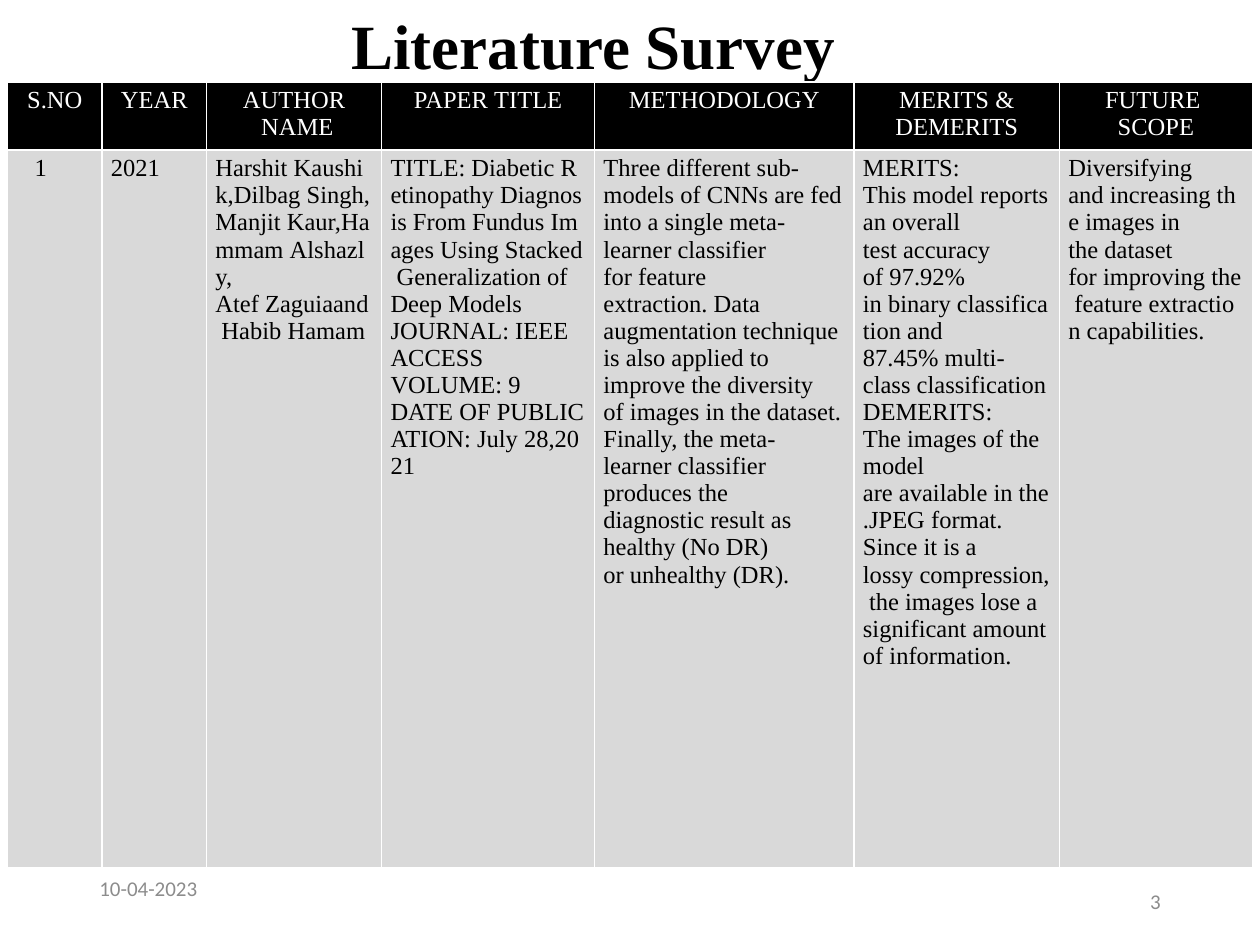
from lxml.etree import SubElement as add_child
from pptx import Presentation
from pptx.dml.color import RGBColor
from pptx.enum.text import MSO_ANCHOR as Anchor, MSO_AUTO_SIZE as AutoSize, PP_ALIGN as Align
from pptx.oxml.ns import qn
from pptx.util import Inches, Pt

BLACK = RGBColor(0x00, 0x00, 0x00)
WHITE = RGBColor(0xFF, 0xFF, 0xFF)
LIGHT_GRAY = RGBColor(0xD9, 0xD9, 0xD9)
FOOTER_GRAY = RGBColor(0x8C, 0x8C, 0x8C)
SERIF = "Times New Roman"
TIE = "~"
HARD_SPACE = chr(160)

TITLE_FONT = {"name": SERIF, "size": Pt(36), "bold": True, "color": BLACK}
HEADER_FONT = {"name": SERIF, "size": Pt(14), "bold": False, "color": WHITE}
BODY_FONT = {**HEADER_FONT, "color": BLACK}
FOOTER_FONT = {"name": "Calibri", "size": Pt(12), "color": FOOTER_GRAY}
CELL_MARGINS = {"margin_left": Inches(0.07), "margin_right": Inches(0.07),
                "margin_top": Inches(0.04), "margin_bottom": Inches(0.03)}

COLUMN_WIDTHS = [0.75, 0.83, 1.39, 1.69, 2.06, 1.63, 1.53]
ROW_HEIGHTS = [0.54, 5.7]
HEADERS = [
    ["S.NO"], ["YEAR"], ["AUTHOR", "~NAME"], ["PAPER~TITLE"], ["METHODOLOGY"],
    ["MERITS &", "DEMERITS"], ["FUTURE~", "SCOPE"],
]
SURVEY = [
    ["~~ 1"],
    ["2021"],
    ["Harshit~Kaushik,Dilbag~Singh,Manjit~Kaur,Hammam~Alshazly,",
     "Atef~Zaguiaand~Habib~Hamam"],
    ["TITLE:~Diabetic~Retinopathy~Diagnosis~From~Fundus~Images~Using~Stacked~"
     "Generalization~of~Deep~Models",
     "JOURNAL:~IEEE~ACCESS",
     "VOLUME:~9",
     "DATE~OF~PUBLICATION:~July~28,2021"],
    ["Three different sub-models of CNNs are~fed into a single~meta-learner~classifier "
     "for~feature extraction.~Data augmentation~technique is also~applied to improve~"
     "the diversity of~images in the~dataset. Finally, the~meta-learner~classifier "
     "produces~the diagnostic~result as healthy~(No DR) or~unhealthy (DR).~"],
    ["MERITS:",
     "This model~reports an~overall test~accuracy of~97.92% in~binary~classification~and "
     "87.45%~multi-class~classification",
     "DEMERITS:",
     "The images of~the model are~available in~the .JPEG~format. Since~it is a "
     "lossy~compression,~the images lose~a significant~amount of~information."],
    ["Diversifying and~increasing~the images~in the~dataset "
     "for~improving~the~feature~extraction~capabilities.~"],
]


def apply_format(target, values):
    """Set each attribute in the dict on the target."""
    for name, value in values.items():
        if name == "color":
            target.color.rgb = value
        else:
            setattr(target, name, value)


def write_text(frame, lines, font, align):
    """Write one formatted paragraph for each line, with ties as hard spaces."""
    for index, line in enumerate(lines):
        para = frame.paragraphs[0] if index == 0 else frame.add_paragraph()
        para.alignment = align
        span = para.add_run()
        span.text = line.replace(TIE, HARD_SPACE)
        apply_format(span.font, font)


def place(shape, left, top, width, height):
    """Position a shape in inches."""
    apply_format(shape, {"left": Inches(left), "top": Inches(top),
                         "width": Inches(width), "height": Inches(height)})


def add_title(page, text):
    """Fill and place the title placeholder."""
    title = page.shapes.title
    place(title, 2.69, 0, 4.08, 0.71)
    apply_format(title.text_frame, {"word_wrap": False, "vertical_anchor": Anchor.TOP,
                                    "auto_size": AutoSize.SHAPE_TO_FIT_TEXT})
    write_text(title.text_frame, [text], TITLE_FONT, Align.LEFT)


def add_footer(page, text, left, align, anchor):
    """Add a small gray text at the foot of the page."""
    box = page.shapes.add_textbox(Inches(left), Inches(6.95), Inches(2.25), Inches(0.4))
    apply_format(box.text_frame, {"word_wrap": True, "vertical_anchor": anchor,
                                  "margin_top": 0, "margin_bottom": 0})
    write_text(box.text_frame, [text], FOOTER_FONT, align)


def add_borders(cell, color, width):
    """Draw a solid line on all four sides of a cell."""
    properties = cell._tc.get_or_add_tcPr()
    for side in ("a:lnL", "a:lnR", "a:lnT", "a:lnB"):
        line = add_child(properties, qn(side), w=str(width))
        add_child(add_child(line, qn("a:solidFill")), qn("a:srgbClr"), val=str(color))


def fill_row(row, texts, font, align, color):
    """Write and style every cell of a table row."""
    for cell, lines in zip(row.cells, texts):
        apply_format(cell, CELL_MARGINS)
        add_borders(cell, WHITE, Pt(1))
        cell.fill.solid()
        cell.fill.fore_color.rgb = color
        write_text(cell.text_frame, lines, font, align)


def add_survey_table(page):
    """Add the literature table with its header row."""
    frame = page.shapes.add_table(
        len(ROW_HEIGHTS), len(COLUMN_WIDTHS), Inches(0.06), Inches(0.65),
        Inches(sum(COLUMN_WIDTHS)), Inches(sum(ROW_HEIGHTS)))
    table = frame.table
    for column, width in zip(table.columns, COLUMN_WIDTHS):
        column.width = Inches(width)
    for row, height in zip(table.rows, ROW_HEIGHTS):
        row.height = Inches(height)
    fill_row(table.rows[0], HEADERS, HEADER_FONT, Align.CENTER, BLACK)
    fill_row(table.rows[1], SURVEY, BODY_FONT, Align.LEFT, LIGHT_GRAY)


def main():
    """Build and save the literature survey slide."""
    deck = Presentation()
    apply_format(deck, {"slide_width": Inches(10), "slide_height": Inches(7.5)})
    page = deck.slides.add_slide(deck.slide_layouts.get_by_name("Title Only"))
    add_footer(page, "10-04-2023", 0.69, Align.LEFT, Anchor.TOP)
    add_footer(page, "3", 7.06, Align.RIGHT, Anchor.MIDDLE)
    add_title(page, "Literature Survey")
    add_survey_table(page)
    deck.save("out.pptx")


if __name__ == "__main__":
    main()
